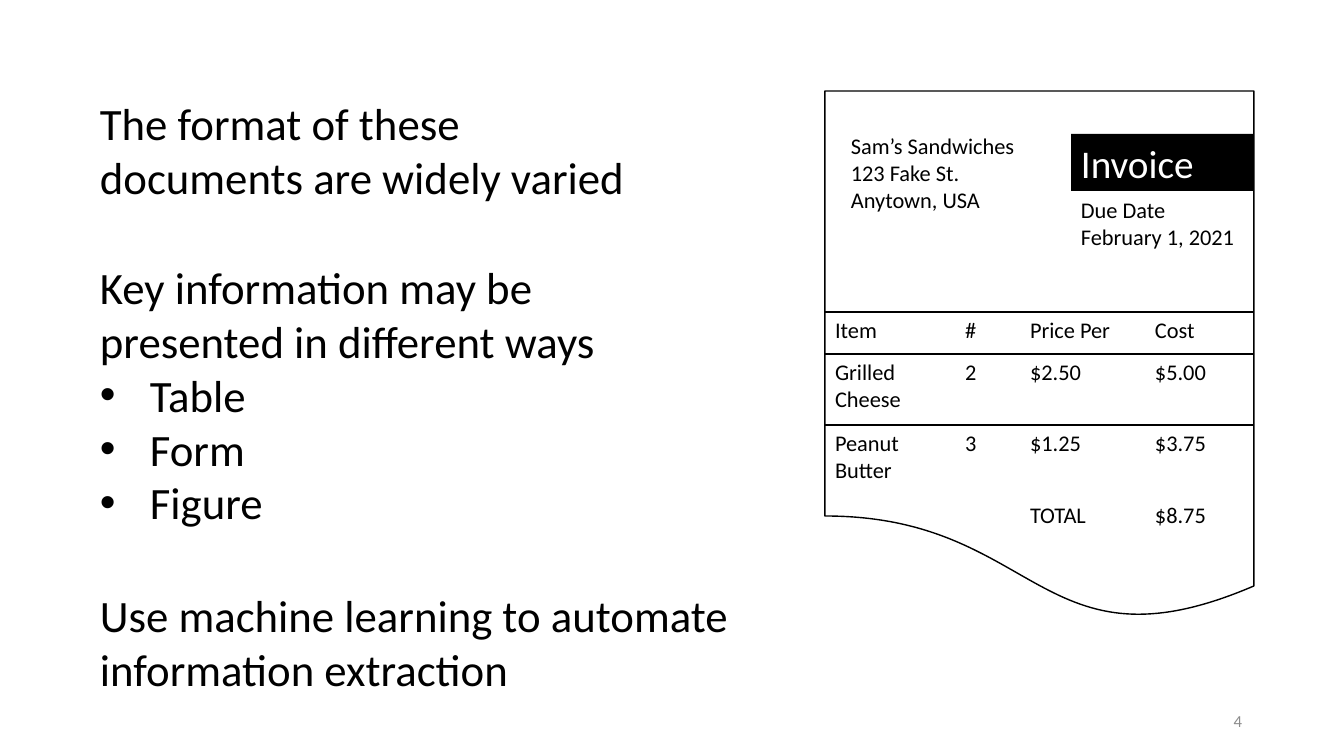
from lxml import etree
from pptx import Presentation
from pptx import util as u
from pptx.dml import color
from pptx.enum import shapes, text
from pptx.oxml import ns

PX = 914400 / 100.8
FONT = "Calibri"
COLORS = {"ink": "000000", "paper": "FFFFFF", "muted": "8C8C8C"}
NO_GRID_STYLE = "{2D5ABB26-0587-4C30-8999-92F81FD0307C}"

# Left column: (left, top, width, height), plain lines, bulleted lines
MESSAGES = [
    ((90, 91, 551, 119), ["The format of these documents are widely varied"], []),
    ((90, 255, 536, 281), ["Key information may be presented in different ways"],
     ["Table", "Form", "Figure"]),
    ((90, 583, 656, 119),
     ["Use machine learning to automate information extraction"], []),
]
BULLET_INDENT = 50

INVOICE = (825, 91, 429, 530)
BANNER = (1071, 134, 183, 57)
SENDER = (841, 127, 202, 92)
DUE = (1071, 191, 183, 65)
SENDER_LINES = ["Sam’s Sandwiches", "123 Fake St.", "Anytown, USA"]
DUE_LINES = ["Due Date", "February 1, 2021"]

ITEMS = [
    ["Item", "#", "Price Per", "Cost"],
    ["Grilled Cheese", "2", "$2.50", "$5.00"],
    ["Peanut Butter", "3", "$1.25", "$3.75"],
    ["", "", "TOTAL", "$8.75"],
]
ITEMS_TOP = 312
COLUMN_WIDTHS = [130, 65, 125, 109]
ROW_HEIGHTS = [42, 71, 72, 42]
RULED_EDGES = {0, 1, 2}  # horizontal table edges that carry a line

PAGE_NUMBER = ((950, 701, 302, 40), "4")


def px(length):
    return u.Emu(round(length * PX))


def place(rect):
    return [px(length) for length in rect]


def rgb(name):
    return color.RGBColor.from_string(COLORS[name])


def add_span(para, words, size, ink="ink"):
    span = para.add_run()
    span.text = words
    span.font.name = FONT
    span.font.size = u.Pt(size)
    span.font.color.rgb = rgb(ink)


def write(frame, lines, size, ink="ink", align=text.PP_ALIGN.LEFT):
    """Fill an empty text frame, one paragraph per line."""
    frame.word_wrap = True
    for index, line in enumerate(lines):
        para = frame.add_paragraph() if index else frame.paragraphs[0]
        para.alignment = align
        add_span(para, line, size, ink)


def add_bullet(para):
    props = para._p.get_or_add_pPr()
    props.set("marL", str(px(BULLET_INDENT)))
    props.set("indent", str(-px(BULLET_INDENT)))
    etree.SubElement(props, ns.qn("a:buFont")).set("typeface", "Arial")
    etree.SubElement(props, ns.qn("a:buChar")).set("char", "•")


def add_text(page, rect, lines, size, **style):
    box = page.shapes.add_textbox(*place(rect))
    write(box.text_frame, lines, size, **style)
    return box


def add_panel(page, kind, rect, fill=None, line=None):
    panel = page.shapes.add_shape(kind, *place(rect))
    panel.shadow.inherit = False
    if fill:
        panel.fill.solid()
        panel.fill.fore_color.rgb = rgb(fill)
    else:
        panel.fill.background()
    if line:
        panel.line.color.rgb = rgb(line)
        panel.line.width = u.Pt(1)
    else:
        panel.line.fill.background()
    return panel


def set_borders(cell, row):
    """Rule the top and bottom of a cell where its edges are listed."""
    props = cell._tc.get_or_add_tcPr()
    edges = [("a:lnL", False), ("a:lnR", False),
             ("a:lnT", row in RULED_EDGES), ("a:lnB", row + 1 in RULED_EDGES)]
    for position, (tag, ruled) in enumerate(edges):
        line = etree.Element(ns.qn(tag), w=str(u.Pt(1)))
        props.insert(position, line)
        paint = etree.SubElement(line, ns.qn("a:solidFill" if ruled else "a:noFill"))
        if ruled:
            etree.SubElement(paint, ns.qn("a:srgbClr")).set("val", COLORS["ink"])


def add_items(page):
    rect = (INVOICE[0], ITEMS_TOP, sum(COLUMN_WIDTHS), sum(ROW_HEIGHTS))
    table = page.shapes.add_table(len(ITEMS), len(COLUMN_WIDTHS), *place(rect)).table
    table._tbl.tblPr.find(ns.qn("a:tableStyleId")).text = NO_GRID_STYLE
    table.first_row = table.horz_banding = False
    for column, width in zip(table.columns, COLUMN_WIDTHS):
        column.width = px(width)
    for row, height in enumerate(ROW_HEIGHTS):
        table.rows[row].height = px(height)
        for column, words in enumerate(ITEMS[row]):
            cell = table.cell(row, column)
            cell.fill.background()
            set_borders(cell, row)
            if words:
                write(cell.text_frame, [words], 16)


def main():
    deck = Presentation()
    deck.slide_width, deck.slide_height = px(1344), px(756)
    page = deck.slides.add_slide(deck.slide_layouts[6])
    page.background.fill.solid()
    page.background.fill.fore_color.rgb = rgb("paper")

    kinds = shapes.MSO_SHAPE
    invoice = add_panel(page, kinds.FLOWCHART_DOCUMENT, INVOICE, line="ink")
    # Mirrored, so that the torn edge dips below the total
    invoice._element.spPr.find(ns.qn("a:xfrm")).set("flipH", "1")
    banner = add_panel(page, kinds.RECTANGLE, BANNER, fill="ink")
    banner.text_frame.vertical_anchor = text.MSO_ANCHOR.TOP
    write(banner.text_frame, ["Invoice"], 28, ink="paper")
    add_text(page, SENDER, SENDER_LINES, 16)
    add_items(page)
    add_text(page, DUE, DUE_LINES, 16)

    for rect, lines, bullets in MESSAGES:
        box = add_text(page, rect, lines + bullets, 32)
        for para in box.text_frame.paragraphs[len(lines):]:
            add_bullet(para)

    rect, number = PAGE_NUMBER
    box = add_text(page, rect, [number], 12, ink="muted", align=text.PP_ALIGN.RIGHT)
    box.text_frame.vertical_anchor = text.MSO_ANCHOR.MIDDLE
    deck.save("out.pptx")


if __name__ == "__main__":
    main()
